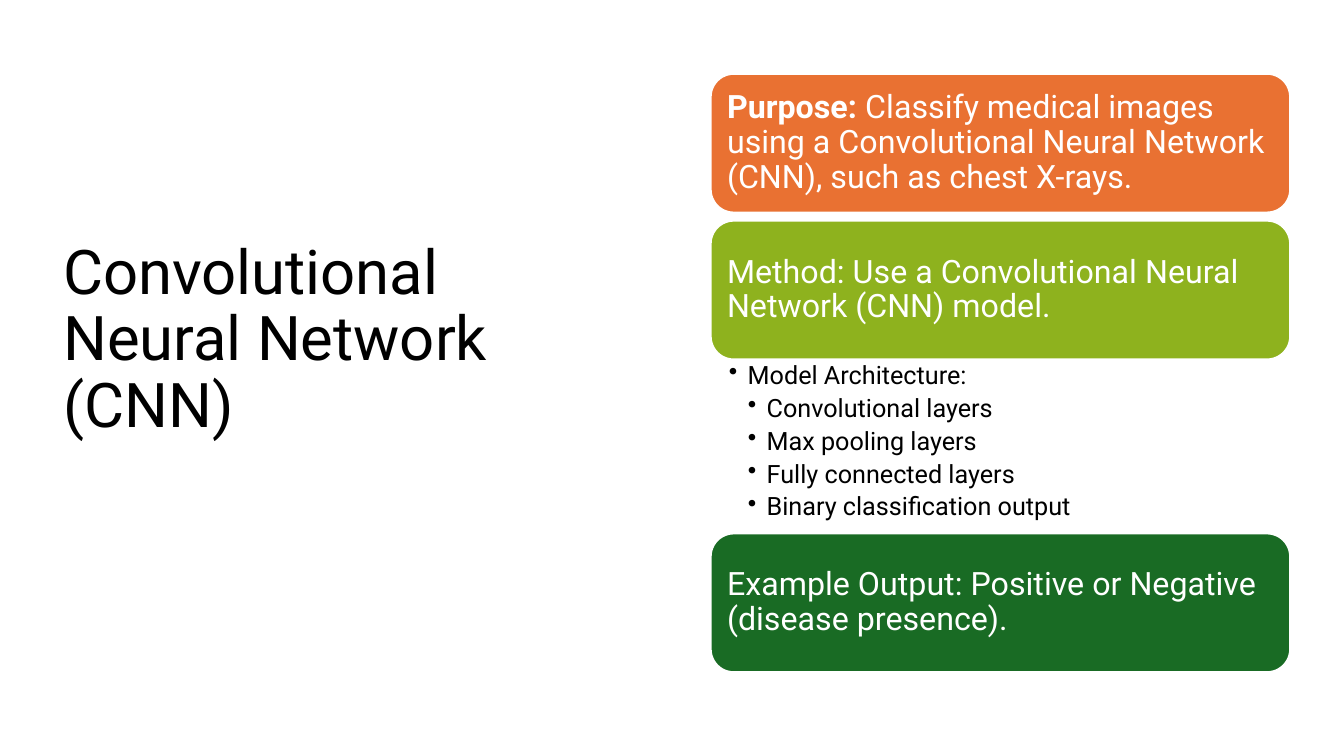
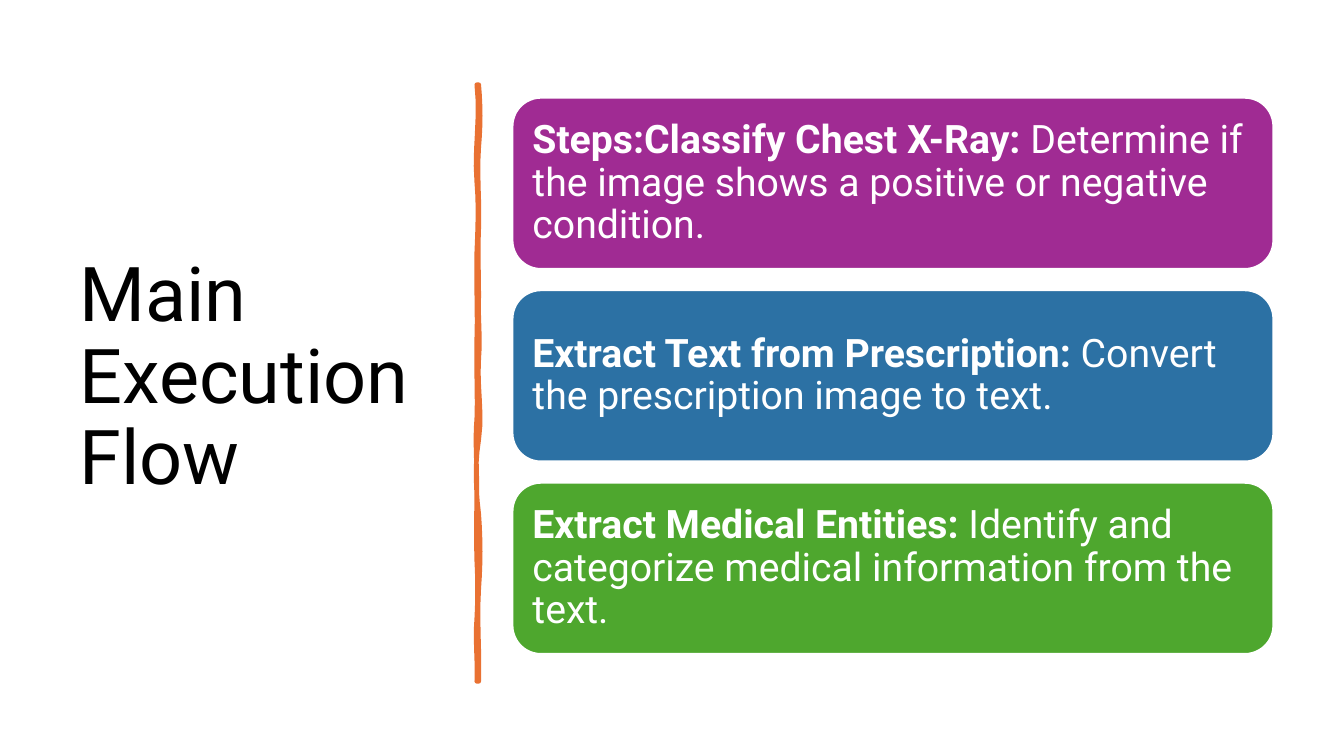
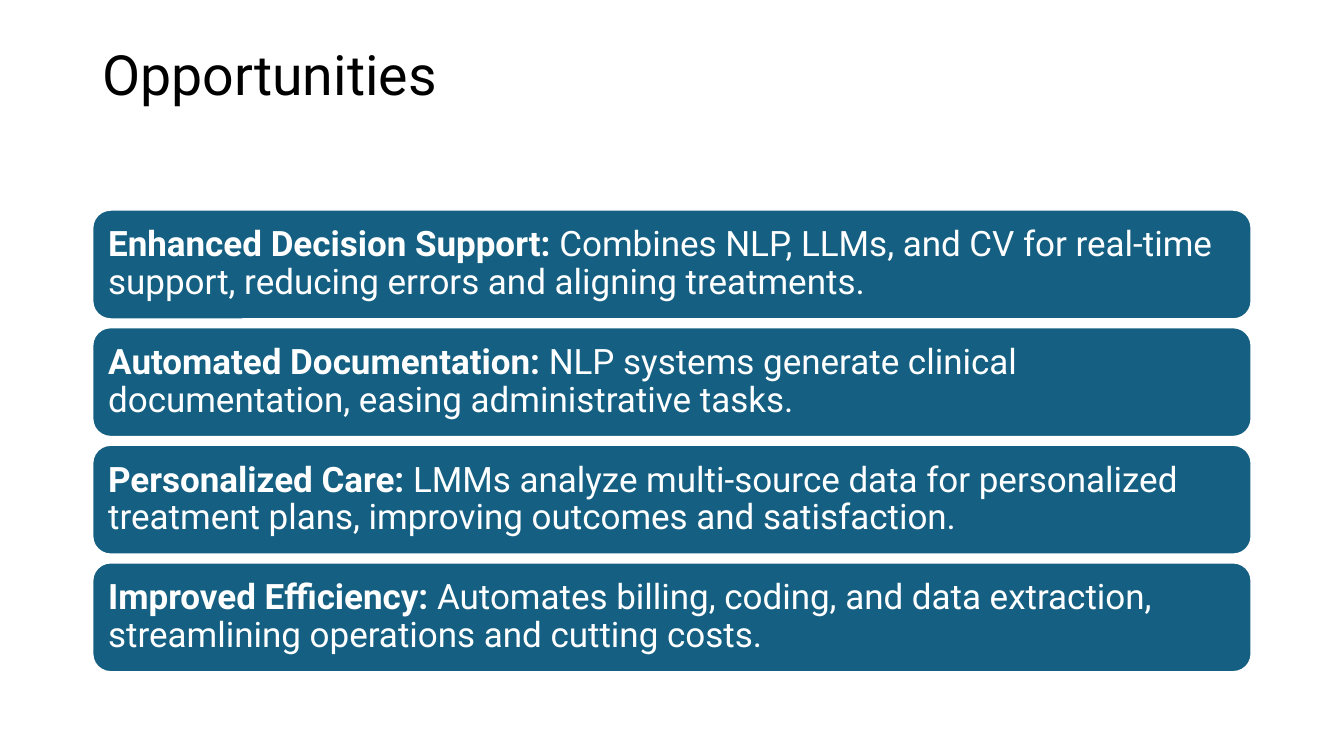
from lxml.etree import SubElement
from pptx import Presentation
from pptx.dml.color import RGBColor
from pptx.enum.shapes import MSO_SHAPE
from pptx.enum.text import MSO_ANCHOR, PP_ALIGN
from pptx.oxml.ns import qn
from pptx.util import Pt

FONT = "Roboto"
BLACK = "000000"
WHITE = "FFFFFF"
ORANGE = "E97132"
LIME = "8EB21E"
FOREST = "196B24"
PURPLE = "A02B93"
BLUE = "2C71A4"
GREEN = "4EA72E"
TEAL = "156082"
CURVE_STEPS = 6


def color(hex_string):
    return RGBColor.from_string(hex_string)


def style_paragraph(paragraph, size, text_color):
    paragraph.alignment = PP_ALIGN.LEFT
    paragraph.line_spacing = 0.9
    paragraph.font.name = FONT
    paragraph.font.size = Pt(size)
    paragraph.font.color.rgb = color(text_color)


def add_text_frame(slide, left, top, width, height):
    frame = slide.shapes.add_textbox(Pt(left), Pt(top), Pt(width), Pt(height)).text_frame
    frame.word_wrap = True
    return frame


def add_title(slide, text, box, size, space_below=3.6):
    frame = add_text_frame(slide, *box)
    frame.vertical_anchor = MSO_ANCHOR.MIDDLE
    frame.margin_bottom = Pt(space_below)
    title = frame.paragraphs[0]
    title.text = text
    style_paragraph(title, size, BLACK)


def add_card(slide, box, fill, size, label, text):
    card = slide.shapes.add_shape(MSO_SHAPE.ROUNDED_RECTANGLE, *map(Pt, box))
    card.shadow.inherit = False
    card.fill.solid()
    card.fill.fore_color.rgb = color(fill)
    card.line.color.rgb = color(WHITE)
    card.line.width = Pt(1.5)
    frame = card.text_frame
    frame.word_wrap = True
    frame.vertical_anchor = MSO_ANCHOR.MIDDLE
    inset = Pt(0.3 * size)
    frame.margin_left = frame.margin_right = inset
    frame.margin_top = frame.margin_bottom = inset
    message = frame.paragraphs[0]
    style_paragraph(message, size, WHITE)
    if label:
        heading = message.add_run()
        heading.text = label + " "
        heading.font.bold = True
    message.add_run().text = text


def add_card_stack(slide, box, step, size, cards):
    left, top, width, height = box
    for index, (fill, label, text) in enumerate(cards):
        card_box = (left, top + index * step, width, height)
        add_card(slide, card_box, fill, size, label, text)


def add_bullets(slide, box, size, items):
    frame = add_text_frame(slide, *box)
    frame.margin_left = frame.margin_right = Pt(13)
    frame.margin_top = frame.margin_bottom = Pt(2.2)
    for index, (level, text) in enumerate(items):
        item = frame.add_paragraph() if index else frame.paragraphs[0]
        item.text = text
        item.level = level
        item.space_after = Pt(4)
        style_paragraph(item, size, BLACK)
        properties = item._p.get_or_add_pPr()
        properties.set("marL", str(Pt(13.5 * level)))
        properties.set("indent", str(Pt(-13.5)))
        bullet = SubElement(properties, qn("a:buChar"))
        bullet.set("char", "•")
        properties.insert_element_before(bullet, "a:tabLst", "a:defRPr")


def wavy_edge(x, stops, bends):
    points = [(x, stops[0])]
    for start, end, (first, second) in zip(stops, stops[1:], bends):
        for step in range(1, CURVE_STEPS + 1):
            t = step / CURVE_STEPS
            sway = 3 * t * (1 - t) * ((1 - t) * first + t * second)
            points.append((x + sway, start + t * (end - start)))
    return points


def add_brush_line(slide):
    right_edge = wavy_edge(
        342,
        [60.5, 105, 162.7, 211.7, 256.3, 314, 367.2, 420.5, 486.7],
        [(1.4, 1.4), (-1.4, 0.7), (-0.7, 0), (-0.7, 1.4),
         (-1.4, 2.9), (-2.9, -2.2), (1.4, 1.4), (-1.4, 0.7)],
    )
    left_edge = wavy_edge(
        340.6,
        [486.7, 441.4, 401, 343.4, 298.8, 241.2, 180, 130.3, 60.5],
        [(0.7, -1.4), (0.7, 0.7), (-0.7, 0), (0, -1.4),
         (0.7, -0.7), (0.7, -0.7), (0.7, 1.4), (-2.2, 2.9)],
    )
    outline = [(Pt(x), Pt(y)) for x, y in right_edge + left_edge]
    builder = slide.shapes.build_freeform(*outline[0])
    builder.add_line_segments(outline[1:], close=True)
    stroke = builder.convert_to_shape()
    stroke.shadow.inherit = False
    stroke.fill.solid()
    stroke.fill.fore_color.rgb = color(ORANGE)
    stroke.line.color.rgb = color(ORANGE)
    stroke.line.width = Pt(3.25)


def build_network_slide(slide):
    add_title(slide, "Convolutional Neural Network (CNN)", (38, 38, 400, 458), 44, 51)
    left, width, height = 507.6, 414, 99.2
    add_card_stack(slide, (left, 52.7, width, height), 104.9, 23, [
        (ORANGE, "Purpose:",
         "Classify medical images using a Convolutional Neural Network (CNN), such as chest X-rays."),
        (LIME, "", "Method: Use a Convolutional Neural Network (CNN) model."),
    ])
    add_bullets(slide, (left, 257, width, 124), 18, [
        (1, "Model Architecture:"),
        (2, "Convolutional layers"),
        (2, "Max pooling layers"),
        (2, "Fully connected layers"),
        (2, "Binary classification output"),
    ])
    add_card(slide, (left, 381, width, height), FOREST, 23, "",
             "Example Output: Positive or Negative (disease presence).")


def build_flow_slide(slide):
    add_title(slide, "Main Execution Flow", (49.7, 50.4, 269.3, 440), 54)
    add_brush_line(slide)
    add_card_stack(slide, (366, 69.8, 543.6, 122.4), 137.5, 28, [
        (PURPLE, "Steps:Classify Chest X-Ray:",
         "Determine if the image shows a positive or negative condition."),
        (BLUE, "Extract Text from Prescription:",
         "Convert the prescription image to text."),
        (GREEN, "Extract Medical Entities:",
         "Identify and categorize medical information from the text."),
    ])


def build_opportunities_slide(slide):
    add_title(slide, "Opportunities", (66, 28.8, 828, 52.6), 39.6)
    add_card_stack(slide, (66, 149.8, 828, 78.3), 84, 25, [
        (TEAL, "Enhanced Decision Support:",
         "Combines NLP, LLMs, and CV for real-time support, reducing errors and aligning treatments."),
        (TEAL, "Automated Documentation:",
         "NLP systems generate clinical documentation, easing administrative tasks."),
        (TEAL, "Personalized Care:",
         "LMMs analyze multi-source data for personalized treatment plans, "
         "improving outcomes and satisfaction."),
        (TEAL, "Improved Efficiency:",
         "Automates billing, coding, and data extraction, streamlining operations and cutting costs."),
    ])


def main():
    presentation = Presentation()
    presentation.slide_width = Pt(960)
    presentation.slide_height = Pt(540)
    blank = presentation.slide_layouts[6]
    for build in (build_network_slide, build_flow_slide, build_opportunities_slide):
        build(presentation.slides.add_slide(blank))
    presentation.save("out.pptx")


if __name__ == "__main__":
    main()
